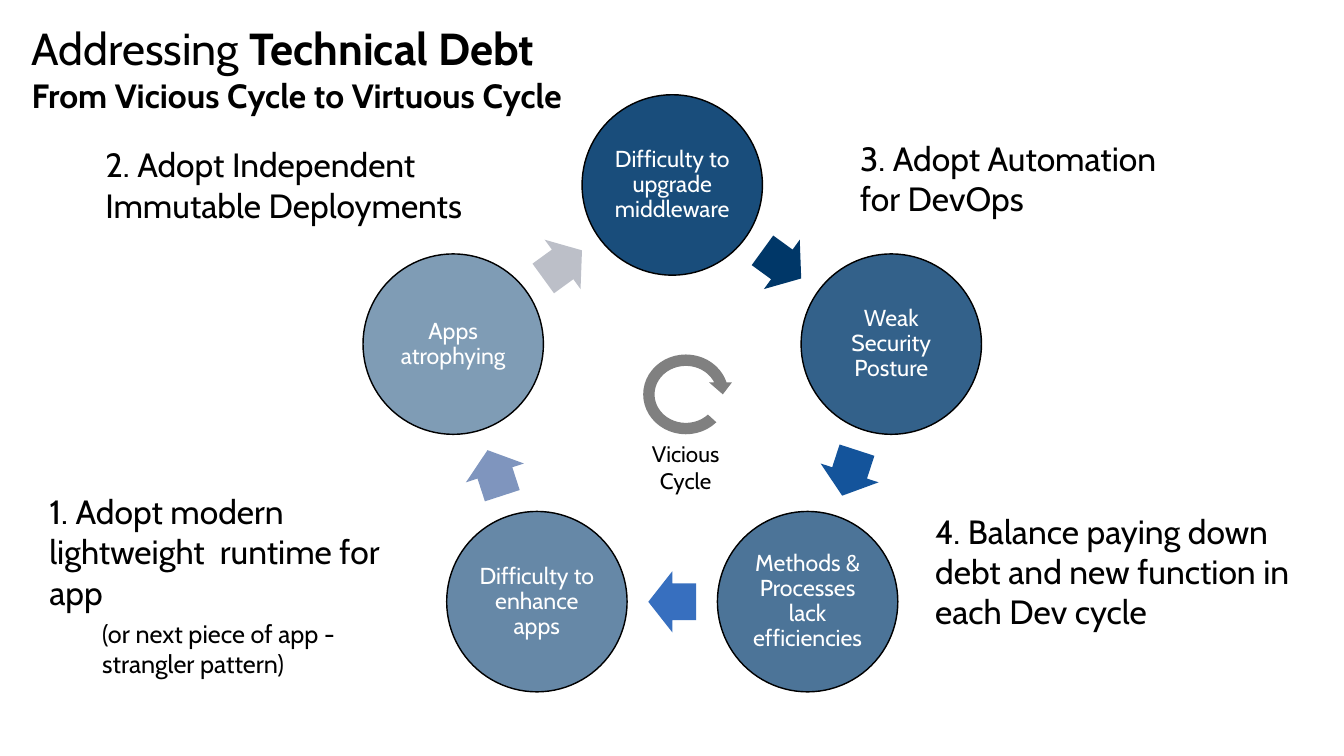
import math

from lxml import etree
from pptx import Presentation
from pptx.dml.color import RGBColor
from pptx.enum import shapes, text
from pptx.oxml import ns
from pptx.util import Inches, Pt

BLACK = RGBColor(0x00, 0x00, 0x00)
WHITE = RGBColor(0xFF, 0xFF, 0xFF)
NAVY = RGBColor(0x00, 0x3A, 0x6D)
GRAY = RGBColor(0x80, 0x80, 0x80)
FONT = "Cabin"

CENTER_X, CENTER_Y = 13.34, 8.24
STAGE_RADIUS, ARROW_RADIUS = 4.57, 3.7
STAGE_SIZE = 3.58
ARROW_WIDTH, ARROW_HEIGHT = 0.95, 1.21

STAGES = [
    ("Difficulty to upgrade middleware", 90, RGBColor(0x00, 0x37, 0x68)),
    ("Weak Security Posture", 80, RGBColor(0x14, 0x54, 0x9B)),
    ("Methods & Processes lack efficiencies", 70, RGBColor(0x37, 0x6F, 0xBF)),
    ("Difficulty to enhance apps", 60, RGBColor(0x7F, 0x95, 0xBE)),
    ("Apps atrophying", 50, RGBColor(0xBC, 0xBF, 0xC8)),
]

ACTIONS = [
    ("1. Adopt modern lightweight  runtime for app", 48, (0.88, 9.69, 7.33, 2.52)),
    ("4. Balance paying down debt and new function in each Dev cycle", 48,
     (18.46, 10.08, 7.54, 2.52)),
    ("2. Adopt Independent Immutable Deployments", 48, (1.99, 2.81, 8.51, 1.72)),
    ("3. Adopt Automation for DevOps", 48, (16.97, 2.69, 6.73, 1.72)),
    ("(or next piece of app - strangler pattern)", 36, (1.93, 12.21, 5.03, 1.31)),
]


def add_run(paragraph, words, size, color=BLACK, bold=False):
    run = paragraph.add_run()
    run.text = words
    run.font.name = FONT
    run.font.size = Pt(size)
    run.font.bold = bold
    run.font.color.rgb = color


def on_circle(radius, degrees):
    angle = math.radians(degrees)
    return CENTER_X + radius * math.sin(angle), CENTER_Y - radius * math.cos(angle)


def centered(point, width, height):
    return point[0] - width / 2, point[1] - height / 2, width, height


class SlideBuilder:
    def __init__(self, slide):
        self.slide = slide

    def set_insets(self, frame, inset):
        frame.margin_left = frame.margin_right = Inches(inset)
        frame.margin_top = frame.margin_bottom = Inches(inset)

    def title(self, lead, strong, subtitle, box):
        shape = self.slide.shapes.title
        shape.left, shape.top, shape.width, shape.height = map(Inches, box)
        frame = shape.text_frame
        frame.auto_size = text.MSO_AUTO_SIZE.NONE
        frame.vertical_anchor = text.MSO_ANCHOR.TOP
        self.set_insets(frame, 0)
        paragraph = frame.paragraphs[0]
        paragraph.alignment = text.PP_ALIGN.LEFT
        add_run(paragraph, lead, 64)
        add_run(paragraph, strong, 64, bold=True)
        paragraph.add_line_break()
        add_run(paragraph, subtitle, 48, bold=True)

    def shape(self, kind, box, color, adjustments=(), rotation=0):
        shape = self.slide.shapes.add_shape(kind, *map(Inches, box))
        shape.shadow.inherit = False
        shape.fill.solid()
        shape.fill.fore_color.rgb = color
        shape.line.fill.background()
        shape.rotation = rotation
        for index, value in enumerate(adjustments):
            shape.adjustments[index] = value
        return shape

    def stage(self, words, opacity, box):
        shape = self.shape(shapes.MSO_SHAPE.OVAL, box, NAVY)
        color = shape.fill._xPr.find(ns.qn("a:solidFill"))[0]
        etree.SubElement(color, ns.qn("a:alpha")).set("val", str(opacity * 1000))
        shape.line.color.rgb = BLACK
        shape.line.width = Pt(2)
        frame = shape.text_frame
        frame.word_wrap = True
        frame.vertical_anchor = text.MSO_ANCHOR.MIDDLE
        self.set_insets(frame, 0.05)
        paragraph = frame.paragraphs[0]
        paragraph.alignment = text.PP_ALIGN.CENTER
        paragraph.line_spacing = 0.9
        add_run(paragraph, words, 33, WHITE)

    def label(self, words, size, box):
        frame = self.slide.shapes.add_textbox(*map(Inches, box)).text_frame
        frame.word_wrap = True
        add_run(frame.paragraphs[0], words, size)
        return frame


def main():
    presentation = Presentation()
    presentation.slide_width = Inches(26.67)
    presentation.slide_height = Inches(15)
    builder = SlideBuilder(presentation.slides.add_slide(presentation.slide_layouts[5]))

    builder.title("Addressing ", "Technical Debt", "From Vicious Cycle to Virtuous Cycle",
                  (0.63, 0.42, 11.88, 1.67))

    step = 360 / len(STAGES)
    for index, (words, opacity, arrow_color) in enumerate(STAGES):
        stage_angle = index * step
        arrow_angle = stage_angle + step / 2
        builder.stage(words, opacity,
                      centered(on_circle(STAGE_RADIUS, stage_angle), STAGE_SIZE, STAGE_SIZE))
        builder.shape(shapes.MSO_SHAPE.RIGHT_ARROW,
                      centered(on_circle(ARROW_RADIUS, arrow_angle), ARROW_WIDTH, ARROW_HEIGHT),
                      arrow_color, (0.6, 0.5), arrow_angle)

    for words, size, box in ACTIONS:
        frame = builder.label(words, size, box)
        frame.auto_size = text.MSO_AUTO_SIZE.SHAPE_TO_FIT_TEXT

    builder.shape(shapes.MSO_SHAPE.CIRCULAR_ARROW, (12.65, 6.92, 1.92, 1.81), GRAY,
                  (0.125, 11.42, 204.58, 25.46, 0.125))
    caption = builder.label("Vicious Cycle", 32, (12.51, 8.73, 2.19, 0.7))
    builder.set_insets(caption, 0)
    caption.paragraphs[0].alignment = text.PP_ALIGN.CENTER

    presentation.save("out.pptx")


if __name__ == "__main__":
    main()
